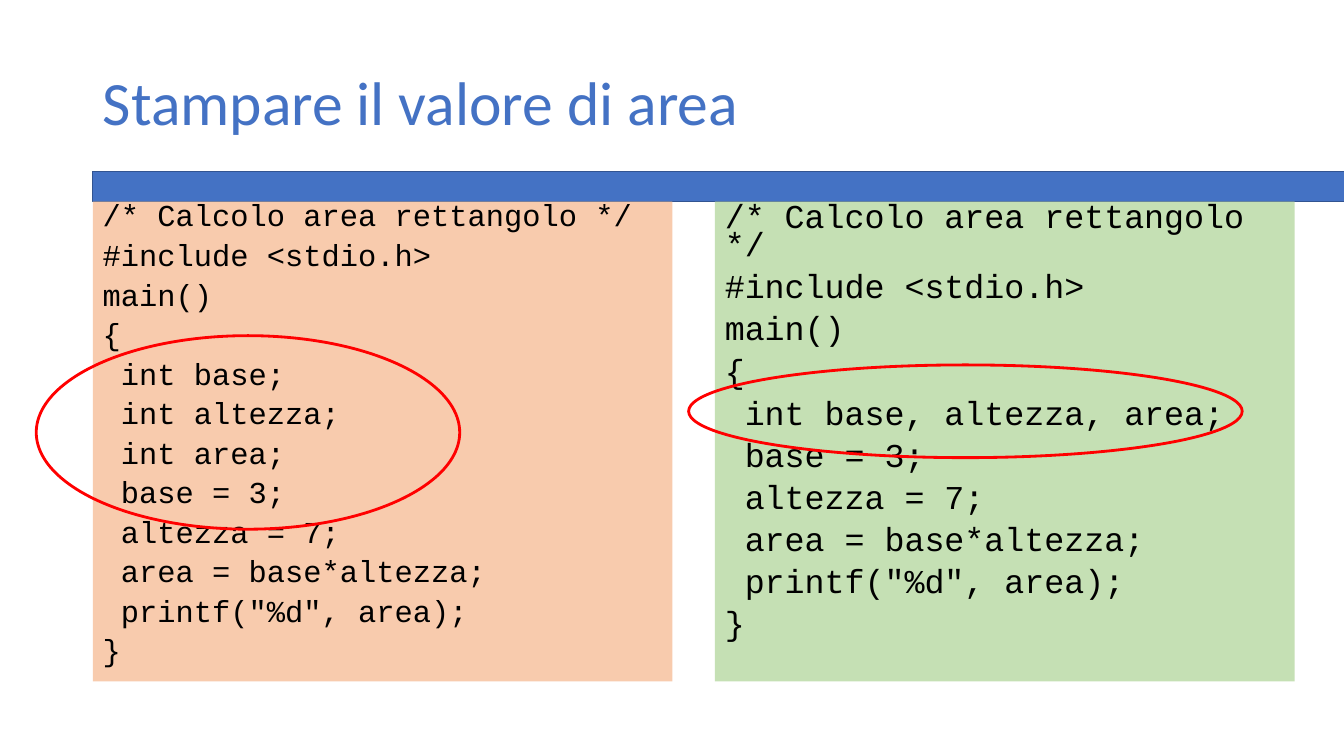
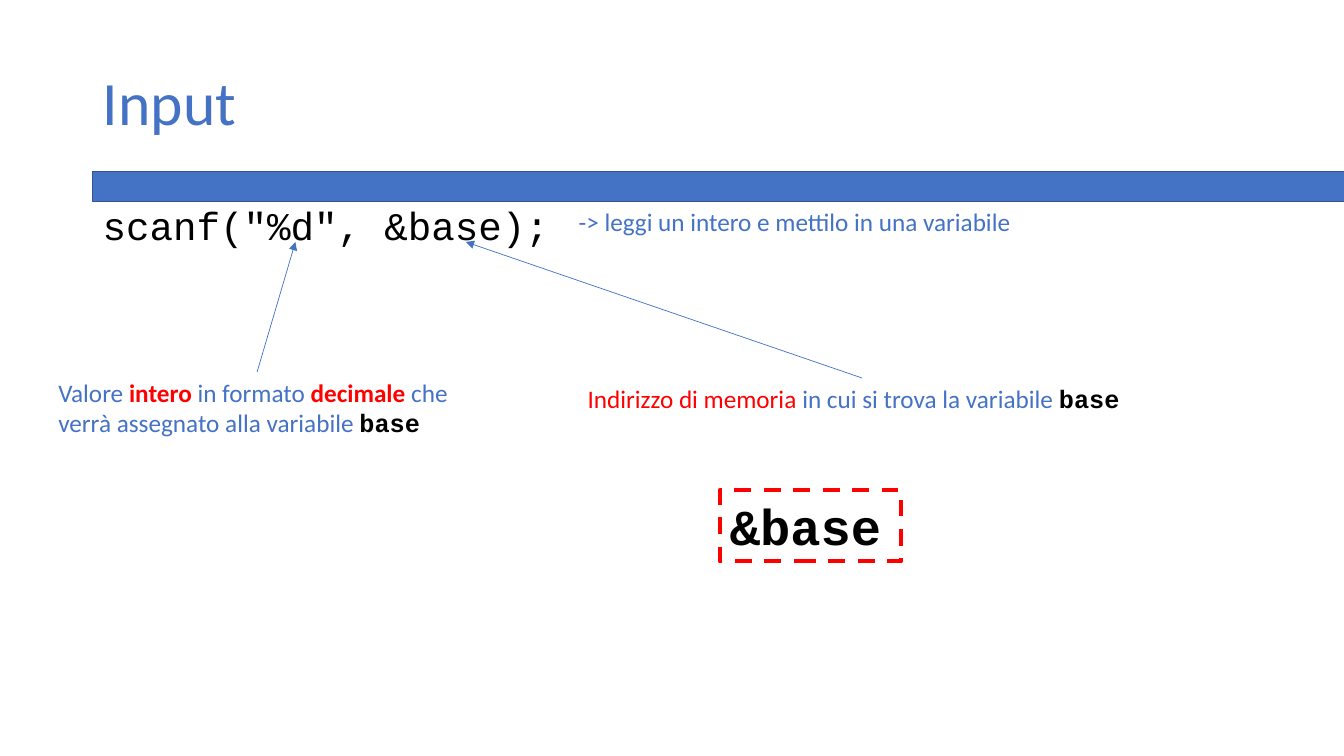
"""Build two slides on printing and reading variables in C."""
from lxml import etree
from pptx import Presentation
from pptx.dml.color import RGBColor
from pptx.enum.dml import MSO_LINE
from pptx.enum.shapes import MSO_CONNECTOR, MSO_SHAPE
from pptx.enum.text import MSO_ANCHOR, PP_ALIGN
from pptx.oxml.ns import qn
from pptx.util import Inches, Pt

RECTANGLE, OVAL = MSO_SHAPE.RECTANGLE, MSO_SHAPE.OVAL
STRAIGHT, DASH = MSO_CONNECTOR.STRAIGHT, MSO_LINE.DASH
LEFT, TOP, MIDDLE = PP_ALIGN.LEFT, MSO_ANCHOR.TOP, MSO_ANCHOR.MIDDLE
TITLE_ONLY = 5

BLUE, DARK_BLUE, RED, BLACK = "4472C4", "325491", "FF0000", "000000"
PEACH, GREEN = "F8CBAD", "C5E0B4"
SANS, MONO = "Calibri", "Courier New"

TITLE_AREA = (0.92, 0.4, 11.5, 1.3)
BAND_AREA = (0.92, 1.7, 12.42, 0.3)

OPENING = ["/* Calcolo area rettangolo */", "#include <stdio.h>", "main()", "{"]
CLOSING = [" base = 3;", " altezza = 7;", " area = base*altezza;",
           ' printf("%d", area);', "}"]
LISTINGS = [
    {"area": (0.92, 2, 5.75, 4.76), "fill": PEACH, "size": 21.7,
     "declarations": [" int base;", " int altezza;", " int area;"]},
    {"area": (7.09, 2, 5.75, 4.76), "fill": GREEN, "size": 23.8,
     "declarations": [" int base, altezza, area;"]},
]
HIGHLIGHTS = [(0.36, 3.33, 4.2, 1.92), (6.83, 3.62, 5.49, 0.92)]

STATEMENT = 'scanf("%d", &base);'
PLAIN, WARNING = (SANS, BLUE, False), (SANS, RED, False)
KEYWORD, CODE = (SANS, RED, True), (MONO, BLACK, True)
NOTES = [
    ((5.64, 2, 7.51, 0.4),
     [("-> leggi un intero e mettilo in una variabile", PLAIN)]),
    ((0.48, 3.69, 4.15, 0.71),
     [("Valore ", PLAIN), ("intero ", KEYWORD), ("in formato ", PLAIN),
      ("decimale ", KEYWORD), ("che verrà assegnato alla variabile ", PLAIN),
      ("base", CODE)]),
    ((5.73, 3.75, 5.64, 0.4),
     [("Indirizzo di memoria ", WARNING),
      ("in cui si trova la variabile ", PLAIN), ("base", CODE)]),
]
ARROWS = [((2.55, 3.69), (2.93, 2.4)), ((8.55, 3.75), (4.62, 2.4))]


def rgb(value):
    return RGBColor.from_string(value)


def inches(values):
    return [Inches(value) for value in values]


def style_font(font, size, name, color, bold=False):
    font.size, font.name, font.bold = Pt(size), name, bold
    font.color.rgb = rgb(color)


def add_panel(page, kind, area, fill=None, line=None, width=1):
    panel = page.shapes.add_shape(kind, *inches(area))
    panel.shadow.inherit = False
    if fill:
        panel.fill.solid()
        panel.fill.fore_color.rgb = rgb(fill)
    else:
        panel.fill.background()
    if line:
        panel.line.color.rgb = rgb(line)
        panel.line.width = Pt(width)
    else:
        panel.line.fill.background()
    return panel


def write_lines(box, lines, size, name, color, bold=False, spacing=1.0, anchor=TOP):
    frame = box.text_frame
    frame.word_wrap = True
    frame.vertical_anchor = anchor
    for index, line in enumerate(lines):
        para = frame.add_paragraph() if index else frame.paragraphs[0]
        para.text = line
        para.alignment = LEFT
        para.line_spacing = spacing
        para.space_before = Pt(10 if index else 0)
        style_font(para.font, size, name, color, bold)


def add_page(deck, title):
    page = deck.slides.add_slide(deck.slide_layouts[TITLE_ONLY])
    add_panel(page, RECTANGLE, BAND_AREA, BLUE, DARK_BLUE)
    heading = page.shapes.title
    heading.left, heading.top, heading.width, heading.height = inches(TITLE_AREA)
    write_lines(heading, [title], 44, SANS, BLUE, spacing=0.9, anchor=MIDDLE)
    return page


def add_note(page, area, spans):
    box = page.shapes.add_textbox(*inches(area))
    box.text_frame.word_wrap = True
    para = box.text_frame.paragraphs[0]
    for text, (name, color, bold) in spans:
        span = para.add_run()
        span.text = text
        style_font(span.font, 18, name, color, bold)


def add_arrow(page, start, end):
    arrow = page.shapes.add_connector(STRAIGHT, *inches(start + end))
    arrow.line.color.rgb = rgb(BLUE)
    arrow.line.width = Pt(0.5)
    etree.SubElement(arrow.line._get_or_add_ln(), qn("a:tailEnd"), type="triangle")
    etree.SubElement(arrow._element.spPr, qn("a:effectLst"))


def build_area_page(deck):
    page = add_page(deck, "Stampare il valore di area")
    for listing in LISTINGS:
        panel = add_panel(page, RECTANGLE, listing["area"], listing["fill"])
        lines = OPENING + listing["declarations"] + CLOSING
        write_lines(panel, lines, listing["size"], MONO, BLACK, spacing=0.7)
    for area in HIGHLIGHTS:
        add_panel(page, OVAL, area, line=RED, width=2)


def build_input_page(deck):
    page = add_page(deck, "Input")
    statement = page.shapes.add_textbox(*inches((0.92, 2, 4.64, 4.76)))
    write_lines(statement, [STATEMENT], 28, MONO, BLACK, spacing=0.9)
    for area, spans in NOTES:
        add_note(page, area, spans)
    for start, end in ARROWS:
        add_arrow(page, start, end)
    address = add_panel(page, RECTANGLE, (7.14, 4.86, 1.8, 0.71), line=RED, width=3)
    address.line.dash_style = DASH
    write_lines(address, ["&base"], 36, MONO, BLACK, bold=True)


def main():
    deck = Presentation()
    deck.slide_width, deck.slide_height = Inches(13.33), Inches(7.5)
    build_area_page(deck)
    build_input_page(deck)
    deck.save("out.pptx")


if __name__ == "__main__":
    main()
